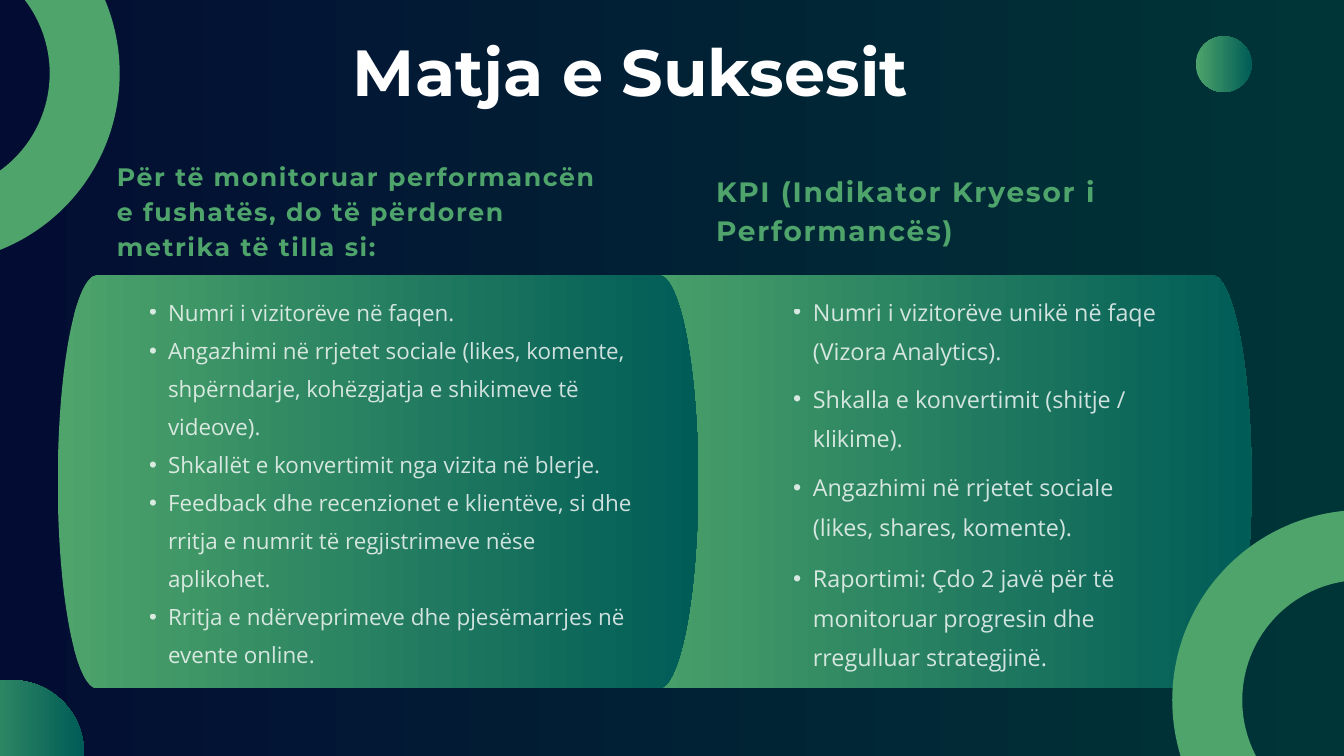
from pptx import Presentation
from pptx import util as u
from pptx.dml.color import RGBColor
from pptx.enum import shapes, text
from pptx.oxml.ns import qn
from lxml import etree

GREEN = RGBColor(0x4E, 0xA4, 0x6A)
TEAL = RGBColor(0x00, 0x5C, 0x57)
NAVY = RGBColor(0x03, 0x0D, 0x33)
PINE = RGBColor(0x00, 0x35, 0x37)
WHITE = RGBColor(0xFF, 0xFF, 0xFF)

COLUMNS, ROWS = 80, 45
CELL = u.Inches(0.25)
PANEL_SIZE = (38.12, 24.6)
PANEL_TOP = 16.38
PANEL_CURVE = 2.36
ROUNDNESS = 0.55
RING_SIZE = 18.48

TITLE_FONT = {"name": "Montserrat", "size": u.Pt(69.8), "bold": True}
BODY_FONT = {"name": "Open Sans", "bold": False}
FRAME = {
    "margin_left": 0, "margin_top": 0, "margin_right": 0, "margin_bottom": 0,
    "word_wrap": True, "auto_size": text.MSO_AUTO_SIZE.NONE,
    "vertical_anchor": text.MSO_ANCHOR.TOP,
}

LEFT = {
    "left": 3.44,
    "header": "Për të monitoruar performancën e fushatës, do të përdoren metrika të tilla si:",
    "header_box": (3.52, -7.1, 29.92, 6.16),
    "header_size": 27, "header_leading": 37.8, "tracking": 173,
    "body_box": (4.28, 0.74, 30.08, 24.56),
    "body_size": 24, "body_leading": 40.8, "indent": (2.28, 1.12),
    "items": [
        ("Numri i vizitorëve në faqen.", 0),
        ("Angazhimi në rrjetet sociale (likes, komente, shpërndarje, kohëzgjatja e shikimeve të videove).", 0),
        ("Shkallët e konvertimit nga vizita në blerje.", 0),
        ("Feedback dhe recenzionet e klientëve, si dhe rritja e numrit të regjistrimeve nëse aplikohet.", 0),
        ("Rritja e ndërveprimeve dhe pjesëmarrjes në evente online.", 0),
    ],
}
RIGHT = {
    "left": 36.38,
    "header": "KPI (Indikator Kryesor i Performancës)",
    "header_box": (6.24, -6.34, 27.56, 4.6),
    "header_size": 30, "header_leading": 42, "tracking": 190,
    "body_box": (9.65, 0.66, 23.12, 25.04),
    "body_size": 25, "body_leading": 42.5, "indent": (2.36, 1.18),
    "items": [
        ("Numri i vizitorëve unikë në faqe (Vizora Analytics).", 0),
        ("Shkalla e konvertimit (shitje / klikime).", 8.1),
        ("Angazhimi në rrjetet sociale (likes, shares, komente).", 10.2),
        ("Raportimi: Çdo 2 javë për të monitoruar progresin dhe rregulluar strategjinë.", 11.9),
    ],
}


def cells(count):
    """Turn grid cells into a length."""
    return u.Emu(round(count * CELL))


def apply(target, values):
    """Set every attribute named in a dict."""
    for name, value in values.items():
        setattr(target, name, value)


def shade(fill, start, end):
    """Fill with a gradient running from left to right."""
    fill.gradient()
    fill.gradient_angle = 0
    for stop, color in zip(fill.gradient_stops, (start, end)):
        stop.color.rgb = color


def place(page, holder, box):
    """Move a placeholder to a grid box, in front of what is drawn so far."""
    apply(holder, dict(zip(("left", "top", "width", "height"), map(cells, box))))
    apply(holder.text_frame, FRAME)
    page.shapes._spTree.append(holder._element)
    return holder.text_frame


def write(para, wording, font, color, leading, before=0):
    """Write one left-aligned paragraph and return its span."""
    apply(para, {"alignment": text.PP_ALIGN.LEFT, "line_spacing": u.Pt(leading),
                 "space_before": u.Pt(before), "space_after": u.Pt(0)})
    span = para.add_run()
    span.text = wording
    apply(span.font, font)
    span.font.color.rgb = color
    return span


def add_bullet(para, span, indent):
    """Give a paragraph a hanging bullet and slightly transparent text."""
    margin, hang = indent
    properties = para._p.get_or_add_pPr()
    properties.set("marL", str(cells(margin)))
    properties.set("indent", str(-cells(hang)))
    etree.SubElement(properties, qn("a:buFont")).set("typeface", "Arial")
    etree.SubElement(properties, qn("a:buChar")).set("char", "•")
    color = span._r.rPr.find(qn("a:solidFill"))[0]
    etree.SubElement(color, qn("a:alpha")).set("val", "80000")


def add_oval(page, left, top, size):
    """Draw a plain circle on the grid."""
    oval = page.shapes.add_shape(shapes.MSO_SHAPE.OVAL, cells(left), cells(top), cells(size), cells(size))
    oval.shadow.inherit = False
    return oval


def add_dot(page, left, top, size):
    """Draw a gradient circle."""
    dot = add_oval(page, left, top, size)
    shade(dot.fill, GREEN, TEAL)
    dot.line.fill.background()


def add_ring(page, left, top):
    """Draw a thick open ring."""
    ring = add_oval(page, left, top, RING_SIZE)
    ring.fill.background()
    ring.line.color.rgb = GREEN
    ring.line.width = u.Pt(75)


def bend(segment, start, end, corner):
    """Turn a straight segment into a quarter ellipse that leans to a corner."""
    segment.tag = qn("a:cubicBezTo")
    controls = [[round(a + ROUNDNESS * (c - a)) for a, c in zip(anchor, corner)]
                for anchor in (start, end)]
    for index, (across, down) in enumerate(controls):
        point = etree.Element(qn("a:pt"), x=str(across), y=str(down))
        segment.insert(index, point)


def add_panel(page, left, top):
    """Draw a gradient panel whose two ends are half ellipses."""
    width, height = map(cells, PANEL_SIZE)
    curve = cells(PANEL_CURVE)
    anchors = [(width - curve, 0), (width, height // 2), (width - curve, height),
               (curve, height), (0, height // 2), (curve, 0)]
    corners = {1: (width, 0), 2: (width, height), 4: (0, height), 5: (0, 0)}
    builder = page.shapes.build_freeform(*anchors[0])
    builder.add_line_segments(anchors[1:], close=True)
    panel = builder.convert_to_shape(cells(left), cells(top))
    segments = list(panel._element.iter(qn("a:lnTo")))
    for index, corner in corners.items():
        bend(segments[index - 1], anchors[index - 1], anchors[index], corner)
    panel.shadow.inherit = False
    shade(panel.fill, GREEN, TEAL)
    panel.line.fill.background()


def add_column(page, column, header, body):
    """Build a panel with its heading above and its bullet list inside."""
    left, top = column["left"], PANEL_TOP
    add_panel(page, left, top)
    across, down, *size = column["header_box"]
    frame = place(page, header, (left + across, top + down, *size))
    font = TITLE_FONT | {"size": u.Pt(column["header_size"])}
    span = write(frame.paragraphs[0], column["header"], font, GREEN, column["header_leading"])
    span._r.get_or_add_rPr().set("spc", str(column["tracking"]))

    across, down, *size = column["body_box"]
    frame = place(page, body, (left + across, top + down, *size))
    font = BODY_FONT | {"size": u.Pt(column["body_size"])}
    for number, (wording, before) in enumerate(column["items"]):
        para = frame.add_paragraph() if number else frame.paragraphs[0]
        span = write(para, wording, font, WHITE, column["body_leading"], before)
        add_bullet(para, span, column["indent"])


def main():
    """Build the slide and save the deck."""
    deck = Presentation()
    deck.slide_width, deck.slide_height = COLUMNS * CELL, ROWS * CELL
    page = deck.slides.add_slide(deck.slide_layouts.get_by_name("Comparison"))
    shade(page.background.fill, NAVY, PINE)
    title, left_header, left_body, right_header, right_body = list(page.placeholders)

    frame = place(page, title, (21, 1.88, 38, 4.64))
    write(frame.paragraphs[0], "Matja e Suksesit", TITLE_FONT, WHITE, 83.8)
    add_dot(page, 71.18, 2.16, 3.32)
    add_dot(page, -3.64, 40.48, 8.64)
    add_column(page, RIGHT, right_header, right_body)
    add_column(page, LEFT, left_header, left_body)
    add_ring(page, -13.44, -4.88)
    add_ring(page, 71.86, 32.44)
    deck.save("out.pptx")


if __name__ == "__main__":
    main()
